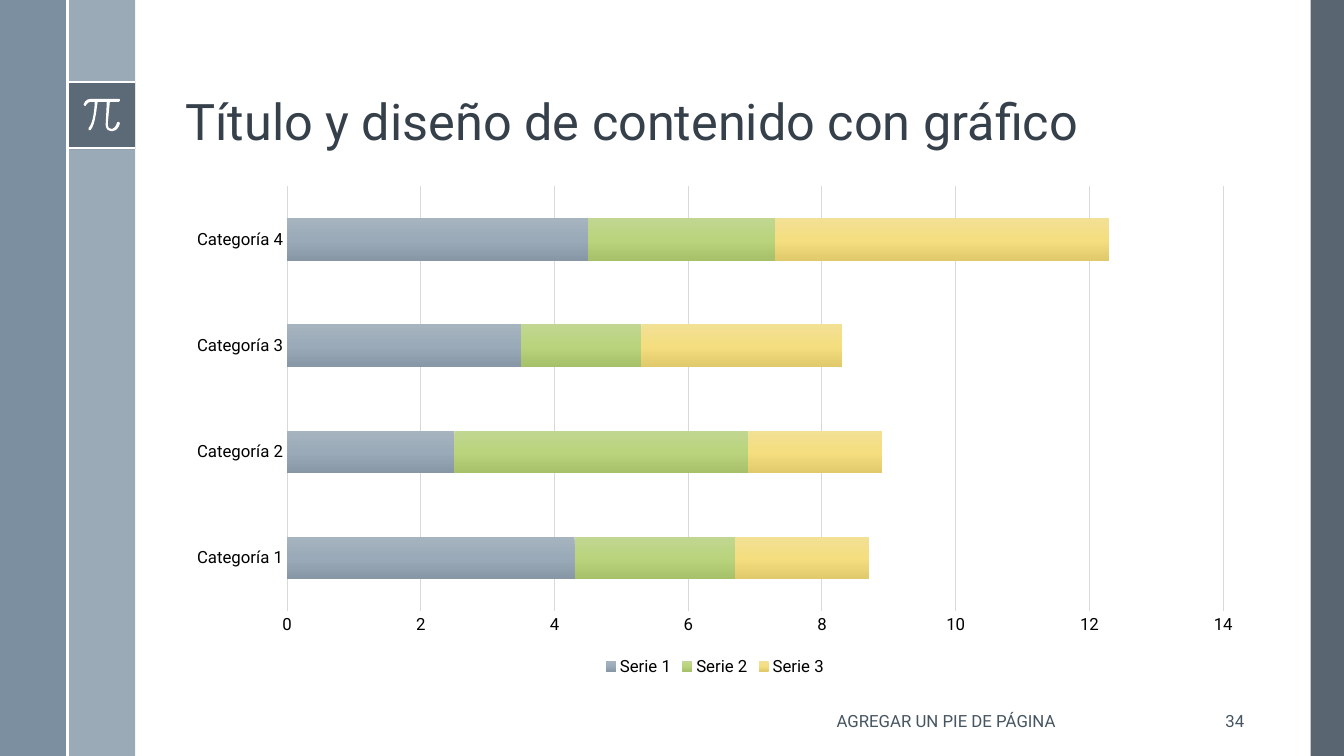
from lxml.etree import SubElement
from pptx import Presentation
from pptx.chart.data import CategoryChartData
from pptx.dml.color import RGBColor
from pptx.enum.chart import XL_CHART_TYPE, XL_LEGEND_POSITION, XL_TICK_MARK
from pptx.enum.shapes import MSO_CONNECTOR, MSO_SHAPE
from pptx.enum.text import MSO_ANCHOR, PP_ALIGN
from pptx.oxml.ns import qn
from pptx.util import Inches, Pt

THEME = {
    "font": "Roboto",
    "title": "35404A", "muted": "465562", "label": "000000",
    "white": "FFFFFF", "grid": "D9D9D9",
    "dark": "475562", "light": "9BAAB7", "steel": "6A8093",
    "title_size": 36, "text_size": 12, "chart_size": 10,
    "rule": 1.5, "hairline": 0.75,
}

WIDTH, HEIGHT = 13.33, 7.5
BAND = 0.67
BADGE_TOP, BADGE_BOTTOM = 0.81, 1.47
CONTENT_LEFT, CONTENT_WIDTH = 1.74, 10.7

# left, top, width, height, colour, opacity in percent
PANELS = [
    (13, 0, 0.33, HEIGHT, "dark", 90),
    (BAND, 0, BAND, HEIGHT, "light", 100),
    (0, 0, BAND, HEIGHT, "steel", 88),
    (BAND, BADGE_TOP, BAND, BAND, "dark", 75),
]
BADGE_RULES = [(BAND, y, 2 * BAND, y) for y in (BADGE_TOP, BADGE_BOTTOM)]
SIDE_RULE = (BAND, 0, BAND, HEIGHT)

# Outline of the pi sign: a pair is a corner, six numbers are a Bezier curve
PI_START = (1.18, 0.98)
PI_OUTLINE = [
    (0.9, 0.98), (0.85, 0.98, 0.83, 1.03, 0.83, 1.04),
    (0.83, 1.04, 0.83, 1.05, 0.84, 1.05), (0.84, 1.05), (0.85, 1.05),
    (0.85, 1.05, 0.87, 1.01, 0.9, 1.01), (0.94, 1.01),
    (0.94, 1.05, 0.93, 1.22, 0.88, 1.27),
    (0.87, 1.28, 0.87, 1.28, 0.88, 1.29),
    (0.88, 1.29, 0.89, 1.29, 0.89, 1.29), (0.9, 1.29),
    (0.95, 1.23, 0.96, 1.05, 0.97, 1.01), (1.06, 1.01), (1.05, 1.22),
    (1.05, 1.22, 1.04, 1.26, 1.07, 1.29),
    (1.08, 1.3, 1.09, 1.3, 1.1, 1.3), (1.11, 1.3, 1.11, 1.3, 1.12, 1.3),
    (1.17, 1.3, 1.19, 1.23, 1.19, 1.22),
    (1.19, 1.22, 1.18, 1.21, 1.18, 1.21),
    (1.17, 1.21, 1.16, 1.21, 1.16, 1.22),
    (1.16, 1.22, 1.15, 1.27, 1.11, 1.28),
    (1.1, 1.28, 1.09, 1.28, 1.08, 1.27),
    (1.07, 1.26, 1.07, 1.23, 1.07, 1.22), (1.09, 1.01), (1.18, 1.01),
    (1.19, 1.01, 1.19, 1, 1.19, 1), (1.19, 0.99, 1.19, 0.98, 1.18, 0.98),
]

TEXTS = [
    {"text": "Título y diseño de contenido con gráfico",
     "place": (CONTENT_LEFT, 0.19, CONTENT_WIDTH, 1.36),
     "size": "title_size", "color": "title", "anchor": MSO_ANCHOR.BOTTOM,
     "format": {"alignment": PP_ALIGN.LEFT, "line_spacing": 0.9}},
    {"text": "AGREGAR UN PIE DE PÁGINA", "place": (7.21, 6.95, 4.35, 0.4),
     "size": "text_size", "color": "muted", "anchor": MSO_ANCHOR.MIDDLE,
     "format": {"alignment": PP_ALIGN.CENTER}},
    {"text": "34", "place": (11.77, 6.95, BAND, 0.4),
     "size": "text_size", "color": "muted", "anchor": MSO_ANCHOR.MIDDLE,
     "format": {"alignment": PP_ALIGN.RIGHT}},
]

CHART_PLACE = (CONTENT_LEFT, 1.75, CONTENT_WIDTH, 5)
CATEGORIES = ["Categoría 1", "Categoría 2", "Categoría 3", "Categoría 4"]
# name, values, gradient colours from top to bottom
SERIES = [
    ("Serie 1", (4.3, 2.5, 3.5, 4.5), ("A6B4BF", "9AAAB8", "8797A6")),
    ("Serie 2", (2.4, 4.4, 1.8, 2.8), ("C0D691", "BAD47E", "A7C16B")),
    ("Serie 3", (2, 2, 3, 5), ("F2E095", "F4DE80", "E0CA6B")),
]


def color(name):
    return RGBColor.from_string(THEME[name])


def inches(values):
    return [Inches(value) for value in values]


def assign(target, values):
    for name, value in values.items():
        setattr(target, name, value)


def style_font(font, size, color_name):
    assign(font, {"name": THEME["font"], "size": Pt(THEME[size])})
    font.color.rgb = color(color_name)


def style_line(line, color_name, width):
    line.color.rgb = color(color_name)
    line.width = Pt(THEME[width])


def paint(shape, color_name, opacity=100):
    shape.shadow.inherit = False
    shape.line.fill.background()
    shape.fill.solid()
    shape.fill.fore_color.rgb = color(color_name)
    if opacity < 100:
        fill_color = shape.element.spPr.find(qn("a:solidFill"))[0]
        SubElement(fill_color, qn("a:alpha"), val=str(opacity * 1000))


def add_panel(page, left, top, width, height, color_name, opacity):
    panel = page.shapes.add_shape(
        MSO_SHAPE.RECTANGLE, *inches((left, top, width, height)))
    paint(panel, color_name, opacity)


def add_rule(page, ends):
    rule = page.shapes.add_connector(MSO_CONNECTOR.STRAIGHT, *inches(ends))
    style_line(rule.line, "white", "rule")
    SubElement(rule.element.spPr, qn("a:effectLst"))


def bend_lines(shape):
    """Turn every three line segments into one Bezier curve."""
    lines = list(shape.element.iter(qn("a:lnTo")))
    for first, second, third in zip(lines[0::3], lines[1::3], lines[2::3]):
        first.tag = qn("a:cubicBezTo")
        for line in (second, third):
            first.append(line[0])
            line.getparent().remove(line)


def add_pi(page):
    points = []
    for part in PI_OUTLINE:
        numbers = part * 3 if len(part) == 2 else part
        points.extend(inches(numbers[i:i + 2]) for i in (0, 2, 4))
    builder = page.shapes.build_freeform(*inches(PI_START))
    builder.add_line_segments(points, close=True)
    sign = builder.convert_to_shape()
    bend_lines(sign)
    paint(sign, "white")


def add_text(page, item):
    box = page.shapes.add_textbox(*inches(item["place"]))
    assign(box.text_frame, {"word_wrap": True, "vertical_anchor": item["anchor"]})
    para = box.text_frame.paragraphs[0]
    assign(para, item["format"])
    span = para.add_run()
    span.text = item["text"]
    style_font(span.font, item["size"], item["color"])


def fill_gradient(series, colors):
    fill = series.format.fill
    fill.gradient()
    fill.gradient_angle = 270
    stops = next(series._element.iter(qn("a:gsLst")))
    for stop in list(stops):
        stops.remove(stop)
    for index, value in enumerate(colors):
        position = index * 100000 // (len(colors) - 1)
        stop = SubElement(stops, qn("a:gs"), pos=str(position))
        SubElement(stop, qn("a:srgbClr"), val=value)


def add_bar_chart(page):
    data = CategoryChartData()
    data.categories = CATEGORIES
    for name, values, _ in SERIES:
        data.add_series(name, values)
    chart = page.shapes.add_chart(
        XL_CHART_TYPE.BAR_STACKED, *inches(CHART_PLACE), data).chart
    assign(chart, {"has_title": False, "has_legend": True})
    style_font(chart.font, "chart_size", "muted")
    assign(chart.legend, {"position": XL_LEGEND_POSITION.BOTTOM,
                          "include_in_layout": False})
    style_font(chart.legend.font, "text_size", "label")

    plot = chart.plots[0]
    assign(plot, {"gap_width": 150, "overlap": 100, "vary_by_categories": False})
    for series, (_, _, colors) in zip(plot.series, SERIES):
        fill_gradient(series, colors)

    for axis in (chart.category_axis, chart.value_axis):
        assign(axis, {"major_tick_mark": XL_TICK_MARK.NONE,
                      "minor_tick_mark": XL_TICK_MARK.NONE})
        style_font(axis.tick_labels.font, "text_size", "label")
    style_line(chart.category_axis.format.line, "grid", "hairline")
    chart.value_axis.format.line.fill.background()
    style_line(chart.value_axis.major_gridlines.format.line, "grid", "hairline")


def main():
    deck = Presentation()
    assign(deck, {"slide_width": Inches(WIDTH), "slide_height": Inches(HEIGHT)})
    page = deck.slides.add_slide(deck.slide_layouts[6])
    for panel in PANELS:
        add_panel(page, *panel)
    for ends in BADGE_RULES:
        add_rule(page, ends)
    add_pi(page)
    add_rule(page, SIDE_RULE)
    for item in TEXTS:
        add_text(page, item)
    add_bar_chart(page)
    deck.save("out.pptx")


if __name__ == "__main__":
    main()
